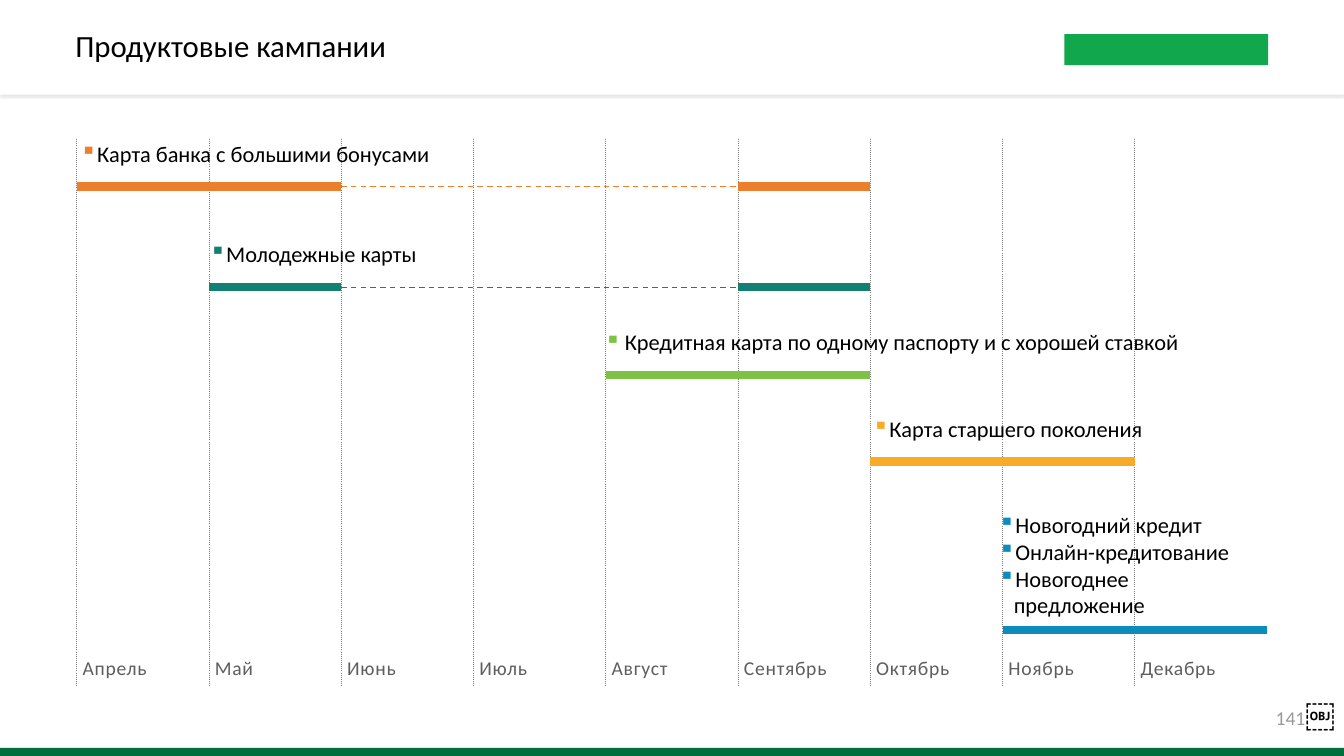
"""Build the product campaign timeline slide."""
from lxml import etree
from pptx import Presentation
from pptx.dml.color import RGBColor
from pptx.enum import dml, shapes, text
from pptx.oxml import ns
from pptx.util import Pt

COLORS = {
    "white": "FFFFFF", "black": "000000", "footer": "006F3C", "logo": "11A74C",
    "shadow": "8A8A8A", "grid": "808080", "month": "5E5E5E", "page": "999999",
    "orange": "EB7F2E", "teal": "128171", "green": "7DC244",
    "yellow": "F7AB27", "blue": "0C8CBB",
}
MONTHS = ["Апрель", "Май", "Июнь", "Июль", "Август",
          "Сентябрь", "Октябрь", "Ноябрь", "Декабрь"]
LEFT, TOP, MONTH_WIDTH = 54.7, 99.4, 94.5
ROW_HEIGHTS = [357, 30]

CAMPAIGNS = [
    ("green", 267.8, [(4, 6)], (424.8, 231.1, 450.7, 37.4), 14.4,
     ["Кредитная карта по одному паспорту и с хорошей ставкой"]),
    ("orange", 133.2, [(0, 2), (5, 6)], (50.4, 96.5, 277.9, 36.7), 10.8,
     ["Карта банка c большими бонусами"]),
    ("teal", 205.2, [(1, 2), (5, 6)], (142.6, 167.8, 185, 37.4), 10.8,
     ["Молодежные карты"]),
    ("yellow", 329.8, [(6, 8)], (616.3, 293, 246.2, 37.4), 10.8,
     ["Карта старшего поколения"]),
    ("blue", 450, [(7, 9)], (706.3, 361.4, 198, 87.8), 10.8,
     ["Новогодний кредит", "Онлайн-кредитование", "Новогоднее предложение"]),
]


def rgb(name):
    """Return the named colour."""
    return RGBColor.from_string(COLORS[name])


def add_xml(parent, tag, **attrs):
    """Append a child element with the given attributes."""
    return etree.SubElement(parent, ns.qn(tag), attrs)


def add_run(p, words, size, color, font="Calibri"):
    """Add a formatted run to a paragraph."""
    r = p.add_run()
    r.text = words
    r.font.size, r.font.name = Pt(size), font
    r.font.color.rgb = rgb(color)
    return r


def add_rect(s, box, color):
    """Add a plain filled rectangle without a line."""
    sp = s.shapes.add_shape(shapes.MSO_SHAPE.RECTANGLE, *map(Pt, box))
    sp.shadow.inherit = False
    sp.fill.solid()
    sp.fill.fore_color.rgb = rgb(color)
    sp.line.fill.background()
    return sp


def add_shadow(sp):
    """Give a shape a soft shadow below it."""
    effects = sp._element.spPr.find(ns.qn("a:effectLst"))
    shadow = add_xml(effects, "a:outerShdw", blurRad=str(Pt(1)), dist=str(Pt(2)),
                     dir="5400000", algn="t", rotWithShape="0")
    color = add_xml(shadow, "a:srgbClr", val=COLORS["shadow"])
    add_xml(color, "a:alpha", val="20000")


def add_text_box(s, box, anchor=text.MSO_ANCHOR.TOP):
    """Add a wrapping text box and return its text frame."""
    tf = s.shapes.add_textbox(*map(Pt, box)).text_frame
    tf.word_wrap = True
    tf.vertical_anchor = anchor
    return tf


def add_bullets(s, box, lines, color, indent):
    """Add a bulleted label with coloured square markers."""
    tf = add_text_box(s, box)
    for i, line in enumerate(lines):
        p = tf.add_paragraph() if i else tf.paragraphs[0]
        pPr = p._p.get_or_add_pPr()
        pPr.set("marL", str(Pt(indent)))
        pPr.set("indent", str(-Pt(indent)))
        add_xml(add_xml(pPr, "a:buClr"), "a:srgbClr", val=COLORS[color])
        add_xml(pPr, "a:buChar", char="▪")
        add_run(p, line, 16, "black")


def add_bar(s, start, end, y, color, dashed=False):
    """Draw a horizontal line between two month boundaries."""
    x1, x2 = (Pt(LEFT + month * MONTH_WIDTH) for month in (start, end))
    bar = s.shapes.add_connector(shapes.MSO_CONNECTOR.STRAIGHT, x1, Pt(y), x2, Pt(y))
    bar.line.color.rgb = rgb(color)
    bar.line.width = Pt(1 if dashed else 6)
    if dashed:
        bar.line.dash_style = dml.MSO_LINE.DASH
    add_xml(bar._element.spPr, "a:effectLst")


def add_campaign(s, color, y, spans, box, indent, lines):
    """Draw a campaign's bars, the dashed gaps between them and its label."""
    for start, end in spans:
        add_bar(s, start, end, y, color)
    for (_, start), (end, _) in zip(spans, spans[1:]):
        add_bar(s, start, end, y, color, dashed=True)
    add_bullets(s, box, lines, color, indent)


def set_borders(cell, dotted_sides):
    """Dot the given sides of a cell and clear the others."""
    tcPr = cell._tc.get_or_add_tcPr()
    for side in "LRTB":
        ln = add_xml(tcPr, f"a:ln{side}", w=str(Pt(0.5)))
        if side in dotted_sides:
            fill = add_xml(ln, "a:solidFill")
            add_xml(fill, "a:srgbClr", val=COLORS["grid"])
            add_xml(ln, "a:prstDash", val="sysDot")
        else:
            add_xml(ln, "a:noFill")


def add_calendar(s):
    """Add the month grid as a table."""
    frame = s.shapes.add_table(2, len(MONTHS), Pt(LEFT), Pt(TOP),
                               Pt(MONTH_WIDTH * len(MONTHS)), Pt(sum(ROW_HEIGHTS)))
    table = frame.table
    table.first_row = table.horz_banding = False
    for row, height in zip(table.rows, ROW_HEIGHTS):
        row.height = Pt(height)
    for i, month in enumerate(MONTHS):
        table.columns[i].width = Pt(MONTH_WIDTH)
        for row in range(2):
            cell = table.cell(row, i)
            set_borders(cell, "L" if month == MONTHS[-1] else "LR")
            cell.fill.background()
        cell.margin_left = cell.margin_right = Pt(4.3)
        cell.margin_top = cell.margin_bottom = Pt(4.3)
        cell.vertical_anchor = text.MSO_ANCHOR.BOTTOM
        p = cell.text_frame.paragraphs[0]
        p.line_spacing = 1.5
        r = add_run(p, month, 14, "month")
        r._r.get_or_add_rPr().set("spc", "50")


def add_title(s, words):
    """Add the slide title."""
    tf = add_text_box(s, (46.8, 0, 708.5, 67.7), text.MSO_ANCHOR.MIDDLE)
    p = tf.paragraphs[0]
    p.line_spacing = 0.9
    add_run(p, words, 22, "black")


def add_page_number(s, number):
    """Add the page number with its trailing object sign."""
    tf = add_text_box(s, (905, 497.5, 54.7, 25.2), text.MSO_ANCHOR.MIDDLE)
    tf.margin_left = tf.margin_right = tf.margin_top = tf.margin_bottom = 0
    p = tf.paragraphs[0]
    p.alignment = text.PP_ALIGN.CENTER
    add_run(p, number, 14, "page")
    add_run(p, "￼", 21, "black", "Cabin")


def main():
    """Build and save the slide."""
    prs = Presentation()
    prs.slide_width, prs.slide_height = Pt(960), Pt(540)
    s = prs.slides.add_slide(prs.slide_layouts[6])
    add_rect(s, (0, 534.2, 960, 5.8), "footer")
    add_page_number(s, "141")
    add_shadow(add_rect(s, (0, 0, 960, 67.7), "white"))
    add_rect(s, (760.3, 24.5, 145.5, 22), "logo")
    add_title(s, "Продуктовые кампании")
    add_calendar(s)
    for campaign in CAMPAIGNS:
        add_campaign(s, *campaign)
    prs.save("out.pptx")


if __name__ == "__main__":
    main()
